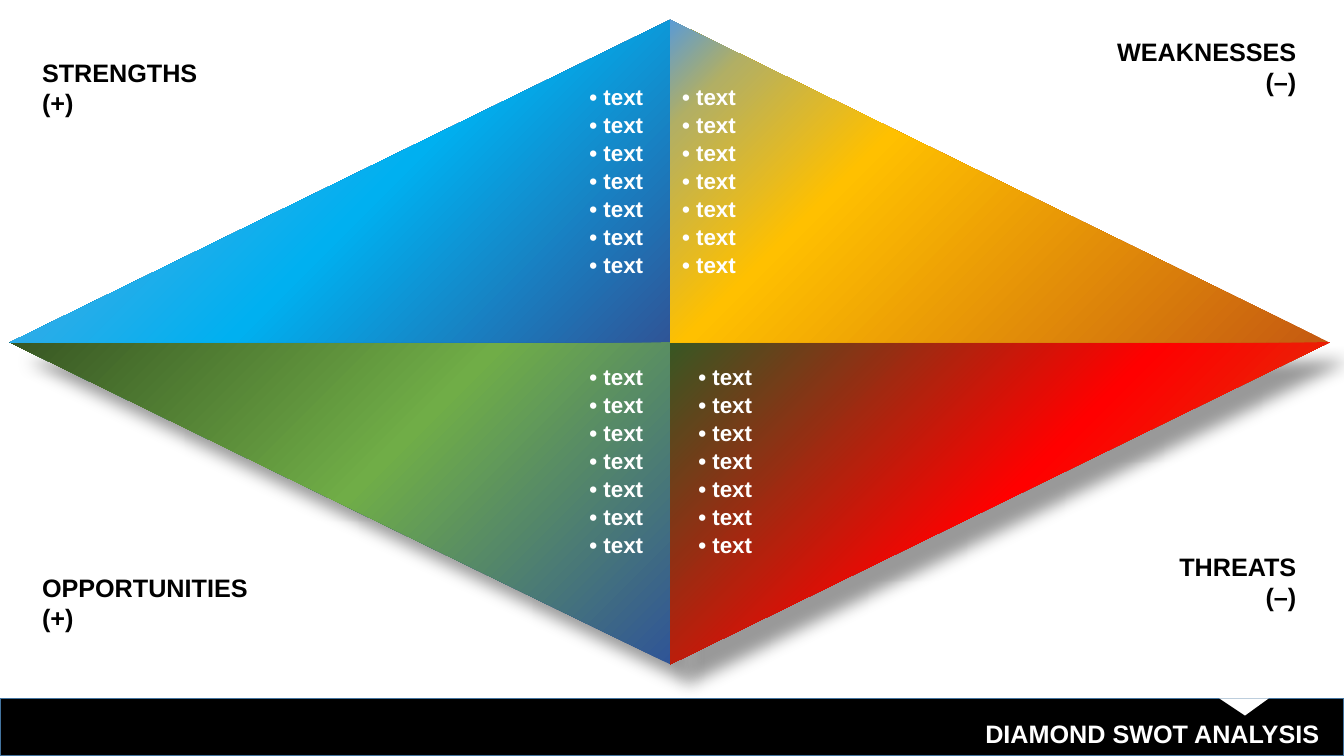
import pptx
import pptx.util
import pptx.dml.color
import pptx.enum.shapes
import pptx.enum.text
import pptx.oxml
import pptx.oxml.ns
from lxml import etree
from pptx.util import Cm

COLORS = {
    "black": "000000", "white": "FFFFFF", "bar_line": "43739E",
    "dark_green": "385723", "green": "70AD47", "navy": "2F5597",
    "light_blue": "71A6DB", "sky": "00B0F0", "red": "FF0000",
    "rust": "C55A11", "steel": "5B9BD5", "olive": "B2AF64", "gold": "FFC000",
}
LEFT = pptx.enum.text.PP_ALIGN.LEFT
RIGHT = pptx.enum.text.PP_ALIGN.RIGHT
DIAMOND_CENTER = (16.89, 8.63)
QUADRANTS = [
    ((0.25, 16.74), [(0, "dark_green"), (50, "green"), (100, "navy")], True),
    ((0.25, 0.5), [(0, "light_blue"), (55, "sky"), (100, "navy")], False),
    ((33.5, 16.74), [(0, "dark_green"), (50, "red"), (100, "rust")], True),
    ((33.5, 0.5), [(0, "steel"), (11, "olive"), (34, "gold"), (100, "rust")], False),
]
LABELS = [
    ((0.81, 1.32, 4.98, 1.8), ["STRENGTHS (+)"], LEFT),
    ((0.81, 14.3, 6.35, 1.8), ["OPPORTUNITIES", "(+)"], LEFT),
    ((27.2, 0.79, 5.72, 1.8), ["WEAKNESSES (–)"], RIGHT),
    ((26.57, 13.77, 6.35, 1.8), ["THREATS", "(–)"], RIGHT),
]
LISTS = [
    ((4.9, 1.98, 11.56, 5.64), RIGHT),
    ((4.9, 9.02, 11.56, 5.64), RIGHT),
    ((17.35, 9.02, 11.56, 5.64), LEFT),
    ((16.94, 1.98, 11.56, 5.64), LEFT),
]


def rgb(name):
    """Return the named colour."""
    return pptx.dml.color.RGBColor.from_string(COLORS[name])


def add_text(slide, box, lines, alignment, size=18, color="black", gap=0):
    """Add a bold text box with one paragraph per line."""
    frame = slide.shapes.add_textbox(*map(Cm, box)).text_frame
    frame.word_wrap = True
    for index, line in enumerate(lines):
        paragraph = frame.add_paragraph() if index else frame.paragraphs[0]
        paragraph.alignment = alignment
        paragraph.space_after = pptx.util.Pt(gap)
        run = paragraph.add_run()
        run.text = line
        run.font.name = "Arial"
        run.font.size = pptx.util.Pt(size)
        run.font.bold = True
        run.font.color.rgb = rgb(color)


def add_solid(slide, kind, box, color, line=None):
    """Add a preset shape with a plain fill."""
    shape = slide.shapes.add_shape(kind, *map(Cm, box))
    shape.shadow.inherit = False
    shape.fill.solid()
    shape.fill.fore_color.rgb = rgb(color)
    if line:
        shape.line.color.rgb = rgb(line)
        shape.line.width = pptx.util.Pt(1)
    else:
        shape.line.fill.background()
    return shape


def set_corner_gradient(shape, stops):
    """Fill a shape with a gradient that spreads from its top left corner."""
    stop_xml = "".join(
        f'<a:gs pos="{position * 1000}"><a:srgbClr val="{COLORS[name]}"/></a:gs>'
        for position, name in stops)
    gradient = pptx.oxml.parse_xml(
        f'<a:gradFill {pptx.oxml.ns.nsdecls("a")} rotWithShape="1">'
        f'<a:gsLst>{stop_xml}</a:gsLst><a:path path="circle">'
        '<a:fillToRect r="100000" b="100000"/></a:path></a:gradFill>')
    shape.element.spPr.find(pptx.oxml.ns.qn("a:ln")).addprevious(gradient)


def add_drop_shadow(shape):
    """Give a shape a soft shadow to the lower right."""
    qn = pptx.oxml.ns.qn
    effects = shape.element.spPr.find(qn("a:effectLst"))
    shadow = etree.SubElement(
        effects, qn("a:outerShdw"), blurRad=str(pptx.util.Pt(12)),
        dist=str(pptx.util.Pt(19)), dir="2700000", algn="tl", rotWithShape="0")
    color = etree.SubElement(shadow, qn("a:srgbClr"), val=COLORS["black"])
    etree.SubElement(color, qn("a:alpha"), val="40000")


def add_quadrant(slide, corner, stops, shadowed):
    """Add the quarter of the diamond that lies towards a corner."""
    center_x, center_y = map(Cm, DIAMOND_CENTER)
    outer_x, outer_y = map(Cm, corner)
    builder = slide.shapes.build_freeform(center_x, outer_y)
    builder.add_line_segments([(outer_x, center_y), (center_x, center_y)], close=True)
    shape = builder.convert_to_shape()
    shape.shadow.inherit = False
    shape.line.fill.background()
    set_corner_gradient(shape, stops)
    if shadowed:
        add_drop_shadow(shape)


def add_footer(slide):
    """Add the title bar with its notch."""
    kinds = pptx.enum.shapes.MSO_SHAPE
    add_solid(slide, kinds.RECTANGLE, (0, 17.6, 33.87, 1.45), "black", "bar_line")
    notch = add_solid(slide, kinds.ISOSCELES_TRIANGLE, (30.73, 17.6, 1.24, 0.43), "white")
    notch.rotation = 180
    notch.adjustments[0] = 0.48
    add_text(slide, (16.28, 17.98, 17.22, 1.02), ["DIAMOND SWOT ANALYSIS"],
             RIGHT, color="white")


def main():
    """Build the diamond SWOT slide."""
    presentation = pptx.Presentation()
    presentation.slide_width = Cm(33.87)
    presentation.slide_height = Cm(19.05)
    slide = presentation.slides.add_slide(presentation.slide_layouts[6])
    add_footer(slide)
    for box, lines, alignment in LABELS:
        add_text(slide, box, lines, alignment)
    for corner, stops, shadowed in QUADRANTS:
        add_quadrant(slide, corner, stops, shadowed)
    for box, alignment in LISTS:
        add_text(slide, box, ["• text"] * 7, alignment, 16, "white", 0.8)
    presentation.save("out.pptx")


if __name__ == "__main__":
    main()
